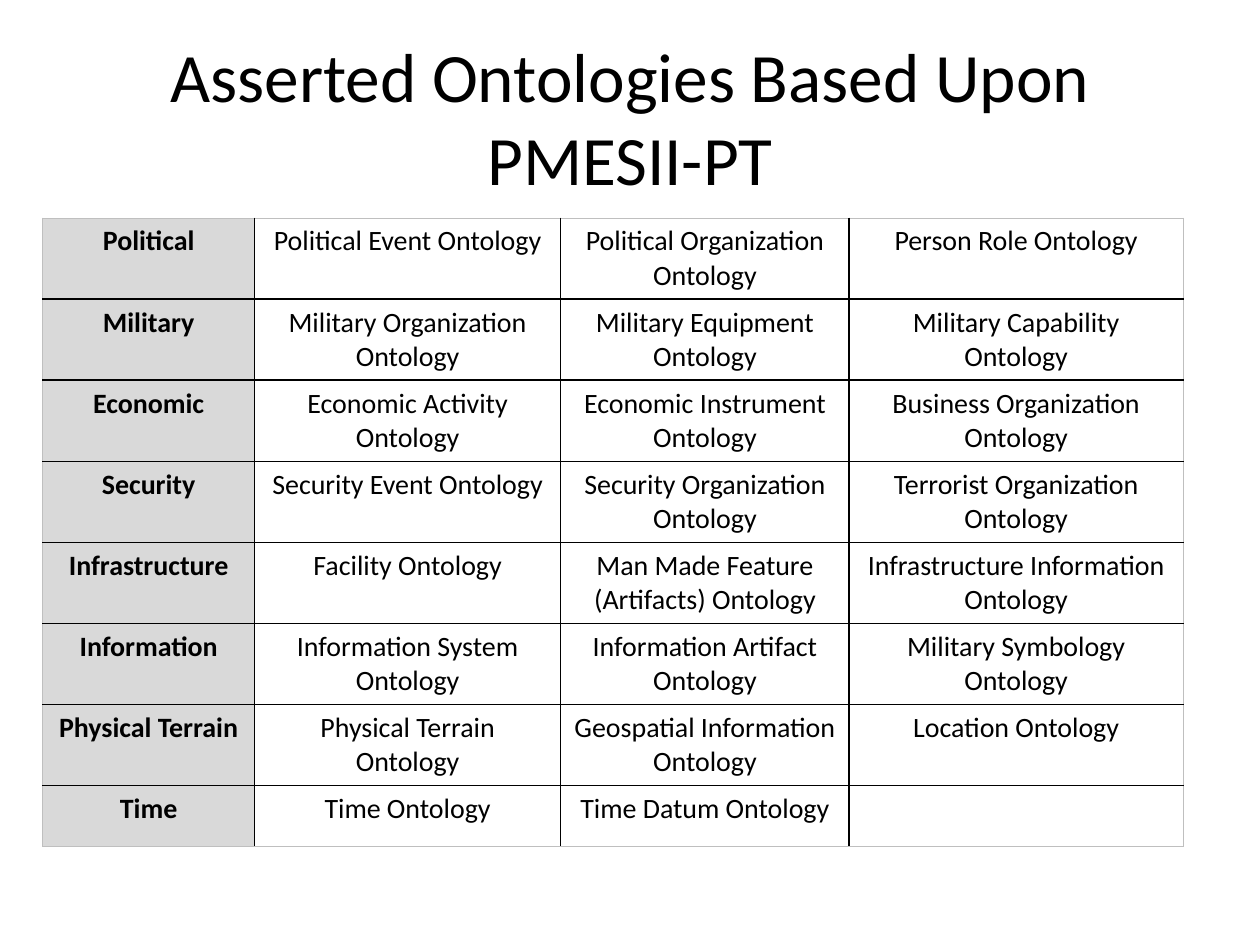
from lxml import etree
from pptx import Presentation
from pptx.dml.color import RGBColor
from pptx.enum.text import MSO_ANCHOR, MSO_AUTO_SIZE, PP_ALIGN
from pptx.oxml.ns import qn
from pptx.util import Inches, Pt

CENTER = PP_ALIGN.CENTER
MIDDLE = MSO_ANCHOR.MIDDLE
NO_AUTOFIT = MSO_AUTO_SIZE.NONE
TITLE_ONLY = 5

BLACK = RGBColor(0x00, 0x00, 0x00)
HEADING_GRAY = RGBColor(0xD9, 0xD9, 0xD9)
EDGE_GRAY = RGBColor(0xBF, 0xBF, 0xBF)
FONT = "Calibri"

TITLE = "Asserted Ontologies Based Upon PMESII-PT"
ONTOLOGIES = [
    ("Political", "Political Event Ontology", "Political Organization Ontology", "Person Role Ontology"),
    ("Military", "Military Organization Ontology", "Military Equipment Ontology", "Military Capability Ontology"),
    ("Economic", "Economic Activity Ontology", "Economic Instrument Ontology", "Business Organization Ontology"),
    ("Security", "Security Event Ontology", "Security Organization Ontology", "Terrorist Organization Ontology"),
    ("Infrastructure", "Facility Ontology", "Man Made Feature (Artifacts) Ontology",
     "Infrastructure Information Ontology"),
    ("Information", "Information System Ontology", "Information Artifact Ontology", "Military Symbology Ontology"),
    ("Physical Terrain", "Physical Terrain Ontology", "Geospatial Information Ontology", "Location Ontology"),
    ("Time", "Time Ontology", "Time Datum Ontology", ""),
]
COLUMN_WIDTHS = [1.68, 2.43, 2.29, 2.65]
ROW_HEIGHT = 0.48


def format_paragraph(paragraph, size, bold=False):
    paragraph.alignment = CENTER
    font = paragraph.font
    for target in [font] + [span.font for span in paragraph.runs]:
        target.name = FONT
        target.size = Pt(size)
        target.bold = bold
        target.color.rgb = BLACK


def add_border(cell, side, outer):
    width, color = (0.5, EDGE_GRAY) if outer else (1, BLACK)
    properties = cell._tc.get_or_add_tcPr()
    line = etree.SubElement(properties, qn(f"a:ln{side}"), w=str(Pt(width)))
    fill = etree.SubElement(line, qn("a:solidFill"))
    etree.SubElement(fill, qn("a:srgbClr"), val=str(color))


def add_title(page):
    title = page.shapes.title
    title.left, title.top = Inches(0.5), Inches(0.3)
    title.width, title.height = Inches(9), Inches(1.25)
    frame = title.text_frame
    frame.text = TITLE
    frame.word_wrap = True
    frame.auto_size = NO_AUTOFIT
    frame.vertical_anchor = MIDDLE
    format_paragraph(frame.paragraphs[0], 39.6)


def add_ontology_table(page):
    row_count, column_count = len(ONTOLOGIES), len(COLUMN_WIDTHS)
    table = page.shapes.add_table(
        row_count, column_count, Inches(0.34), Inches(1.73),
        Inches(sum(COLUMN_WIDTHS)), Inches(ROW_HEIGHT * row_count)).table
    table.first_row = False
    table.horz_banding = False
    for column, width in zip(table.columns, COLUMN_WIDTHS):
        column.width = Inches(width)
    for row_index, names in enumerate(ONTOLOGIES):
        table.rows[row_index].height = Inches(ROW_HEIGHT)
        for column_index, name in enumerate(names):
            cell = table.cell(row_index, column_index)
            is_heading = column_index == 0
            cell.text_frame.text = name
            format_paragraph(cell.text_frame.paragraphs[0], 16, is_heading)
            add_border(cell, "L", column_index == 0)
            add_border(cell, "R", column_index == column_count - 1)
            add_border(cell, "T", row_index == 0)
            add_border(cell, "B", row_index == row_count - 1)
            if is_heading:
                cell.fill.solid()
                cell.fill.fore_color.rgb = HEADING_GRAY
            else:
                cell.fill.background()


def main():
    deck = Presentation()
    deck.slide_width, deck.slide_height = Inches(10), Inches(7.5)
    page = deck.slides.add_slide(deck.slide_layouts[TITLE_ONLY])
    add_title(page)
    add_ontology_table(page)
    deck.save("out.pptx")


if __name__ == "__main__":
    main()
